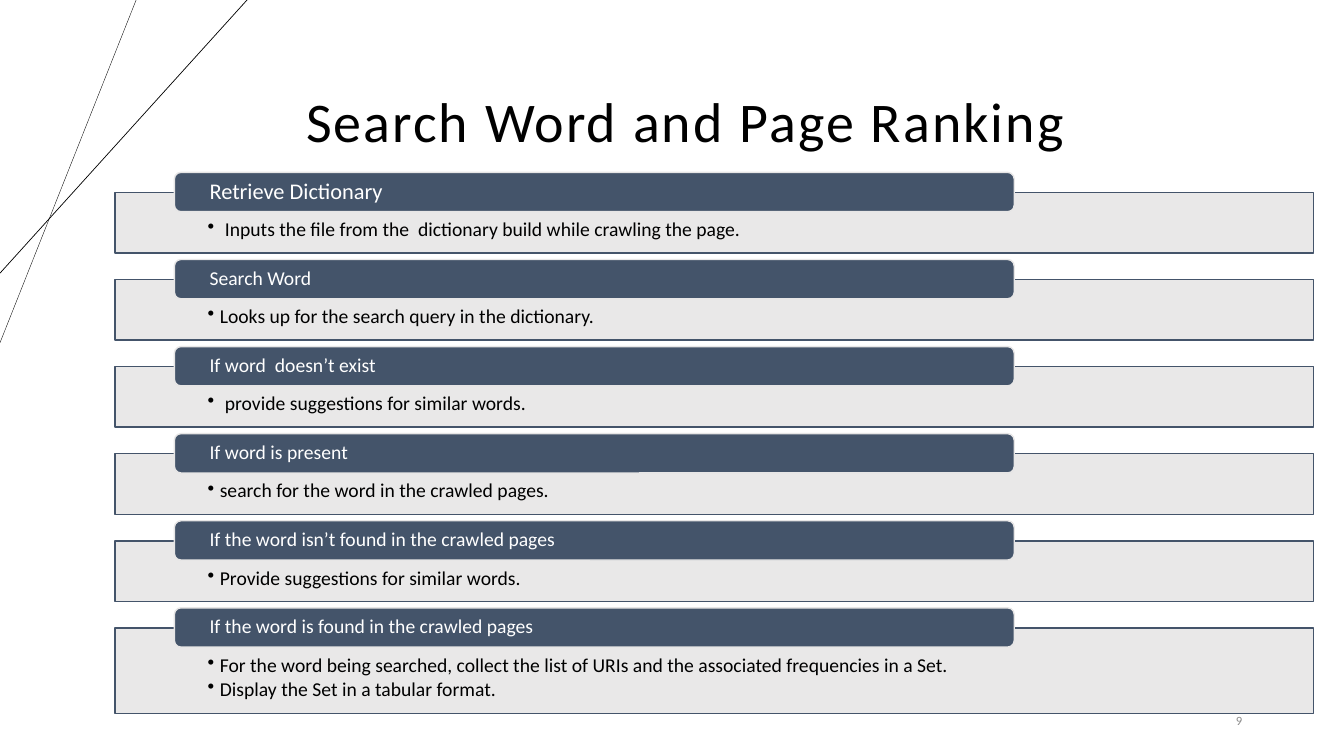
import pptx
import pptx.dml.color
import pptx.enum.shapes
import pptx.enum.text
import pptx.oxml.ns
import pptx.util
from lxml import etree
from pptx.util import Inches

SHAPES = pptx.enum.shapes.MSO_SHAPE
ANCHOR = pptx.enum.text.MSO_ANCHOR
ALIGN = pptx.enum.text.PP_ALIGN
qn = pptx.oxml.ns.qn

FONT = "Calibri"
SLATE, PALE, BLACK, WHITE, GRAY = "44546A", "E7E6E6", "000000", "FFFFFF", "8C8C8C"
FIRST_PANEL_TOP = 1.91
STEP_PITCH = 4.32 / 5
TAB_RISE = 0.2

STEPS = [
    ("Retrieve Dictionary", 16, 0.17,
     ["Inputs the file from the  dictionary build while crawling the page."]),
    ("Search Word", 14, 0.12, ["Looks up for the search query in the dictionary."]),
    ("If word  doesn’t exist", 14, 0.17, ["provide suggestions for similar words."]),
    ("If word is present", 14, 0.12, ["search for the word in the crawled pages."]),
    ("If the word isn’t found in the crawled pages", 14, 0.12,
     ["Provide suggestions for similar words."]),
    ("If the word is found in the crawled pages", 14, 0.12,
     ["For the word being searched, collect the list of URIs and the associated "
      "frequencies in a Set.",
      "Display the Set in a tabular format."]),
]


def rgb(value):
    """Turn a hex string into a colour."""
    return pptx.dml.color.RGBColor.from_string(value)


def style_paragraph(paragraph, size, color, align=ALIGN.LEFT, spacing=0.9):
    """Set the font, alignment and line spacing of a paragraph."""
    paragraph.alignment = align
    paragraph.line_spacing = spacing
    paragraph.font.name = FONT
    paragraph.font.size = pptx.util.Pt(size)
    paragraph.font.color.rgb = rgb(color)


def set_frame(frame, anchor, left, top, right, bottom):
    """Set wrapping, anchor and insets of a text frame."""
    frame.word_wrap = True
    frame.vertical_anchor = anchor
    frame.margin_left, frame.margin_right = Inches(left), Inches(right)
    frame.margin_top, frame.margin_bottom = Inches(top), Inches(bottom)


def add_label(slide, box, text, size, color, align, spacing=0.9):
    """Add a one-line text box and return its paragraph."""
    frame = slide.shapes.add_textbox(*map(Inches, box)).text_frame
    set_frame(frame, ANCHOR.MIDDLE, 0.1, 0.05, 0.1, 0.05)
    paragraph = frame.paragraphs[0]
    paragraph.text = text
    style_paragraph(paragraph, size, color, align, spacing)
    return paragraph


def add_block(slide, kind, box, fill, line):
    """Add a filled and outlined shape without shadow."""
    block = slide.shapes.add_shape(kind, *map(Inches, box))
    block.shadow.inherit = False
    block.fill.solid()
    block.fill.fore_color.rgb = rgb(fill)
    block.line.color.rgb = rgb(line)
    block.line.width = pptx.util.Pt(1)
    return block


def add_bullet(paragraph, indent):
    """Give a paragraph a hanging round bullet."""
    properties = paragraph._p.get_or_add_pPr()
    properties.set("marL", str(Inches(indent)))
    properties.set("indent", str(-Inches(indent)))
    etree.SubElement(properties, qn("a:buChar")).set("char", "•")


def add_panel(slide, top, indent, details):
    """Add the pale panel that lists the details of a step."""
    height = 0.35 + 0.25 * len(details)
    panel = add_block(slide, SHAPES.RECTANGLE, (1.14, top, 11.89, height), PALE, SLATE)
    color = panel.fill._xPr.find(qn("a:solidFill"))[0]
    etree.SubElement(color, qn("a:alpha")).set("val", "90000")
    frame = panel.text_frame
    set_frame(frame, ANCHOR.TOP, 0.92, 0.27, 0.92, 0.11)
    frame.text = "\n".join(details)
    for paragraph in frame.paragraphs:
        add_bullet(paragraph, indent)
        paragraph.space_after = pptx.util.Pt(2.5)
        style_paragraph(paragraph, 14, BLACK)


def add_heading_tab(slide, top, heading, size):
    """Add the dark rounded tab that names a step."""
    tab = add_block(slide, SHAPES.ROUNDED_RECTANGLE, (1.73, top, 8.33, 0.39), SLATE, PALE)
    set_frame(tab.text_frame, ANCHOR.MIDDLE, 0.33, 0, 0.33, 0)
    tab.text_frame.text = heading
    style_paragraph(tab.text_frame.paragraphs[0], size, WHITE)


def add_corner_line(slide, start_x, end_y, width):
    """Draw a thin line from the top edge to the left edge."""
    line = slide.shapes.add_connector(
        pptx.enum.shapes.MSO_CONNECTOR.STRAIGHT,
        Inches(start_x), Inches(0), Inches(0), Inches(end_y))
    line.line.color.rgb = rgb(BLACK)
    line.line.width = pptx.util.Pt(width)
    etree.SubElement(line._element.spPr, qn("a:effectLst"))


def main():
    """Build the slide and save it."""
    deck = pptx.Presentation()
    deck.slide_width, deck.slide_height = Inches(13.33), Inches(7.5)
    slide = deck.slides.add_slide(deck.slide_layouts[6])

    add_corner_line(slide, 1.35, 3.4, 0.25)
    add_corner_line(slide, 2.45, 2.71, 0.5)
    title = add_label(slide, (1.05, 0.61, 11.5, 1.24), "Search Word and Page Ranking",
                      40, BLACK, ALIGN.CENTER)
    title.runs[0].font._element.set("spc", "150")

    for index, (heading, size, indent, details) in enumerate(STEPS):
        top = FIRST_PANEL_TOP + index * STEP_PITCH
        add_panel(slide, top, indent, details)
        add_heading_tab(slide, top - TAB_RISE, heading, size)

    add_label(slide, (9.42, 6.95, 3, 0.4), "9", 9, GRAY, ALIGN.RIGHT, 1.0)
    deck.save("out.pptx")


if __name__ == "__main__":
    main()
